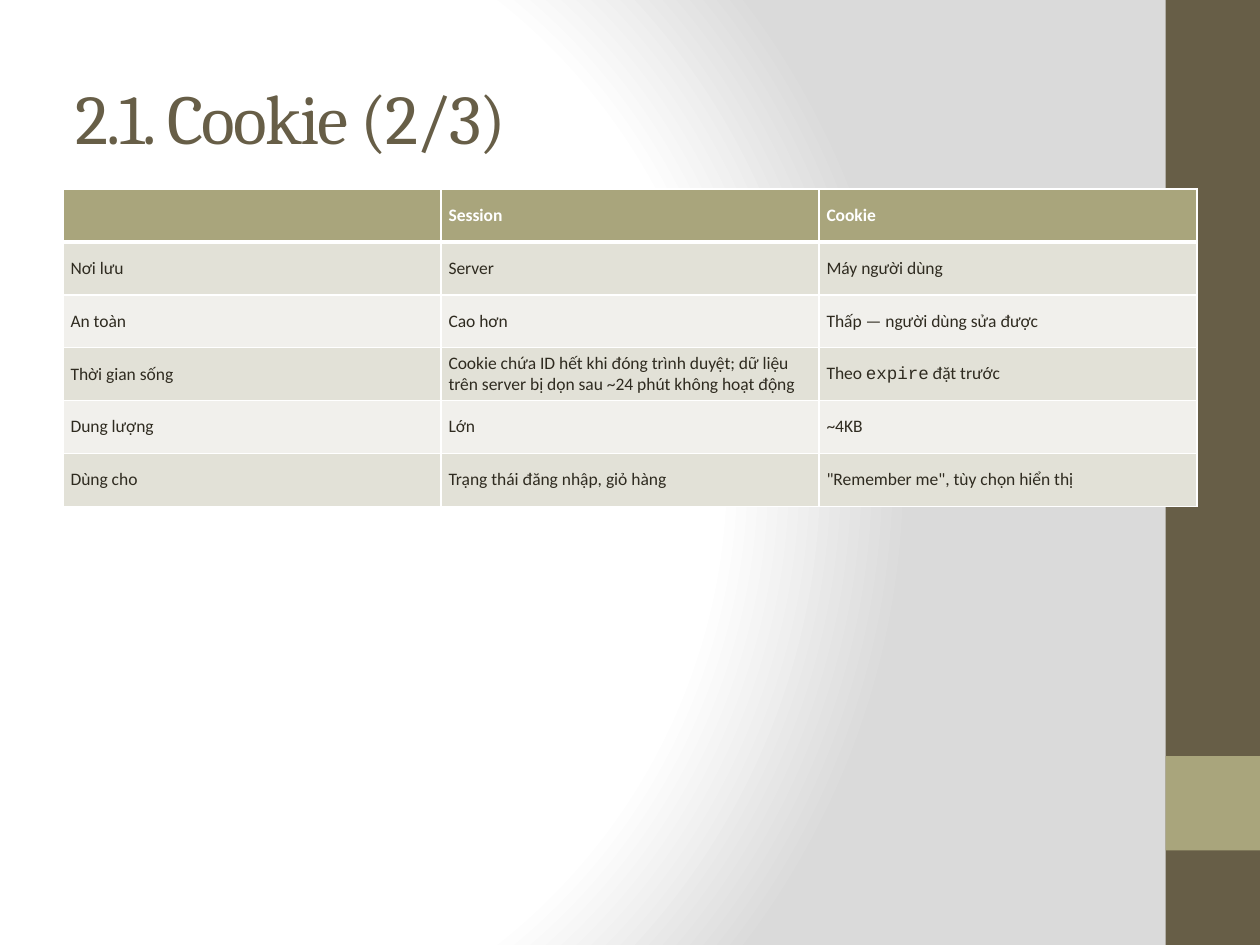
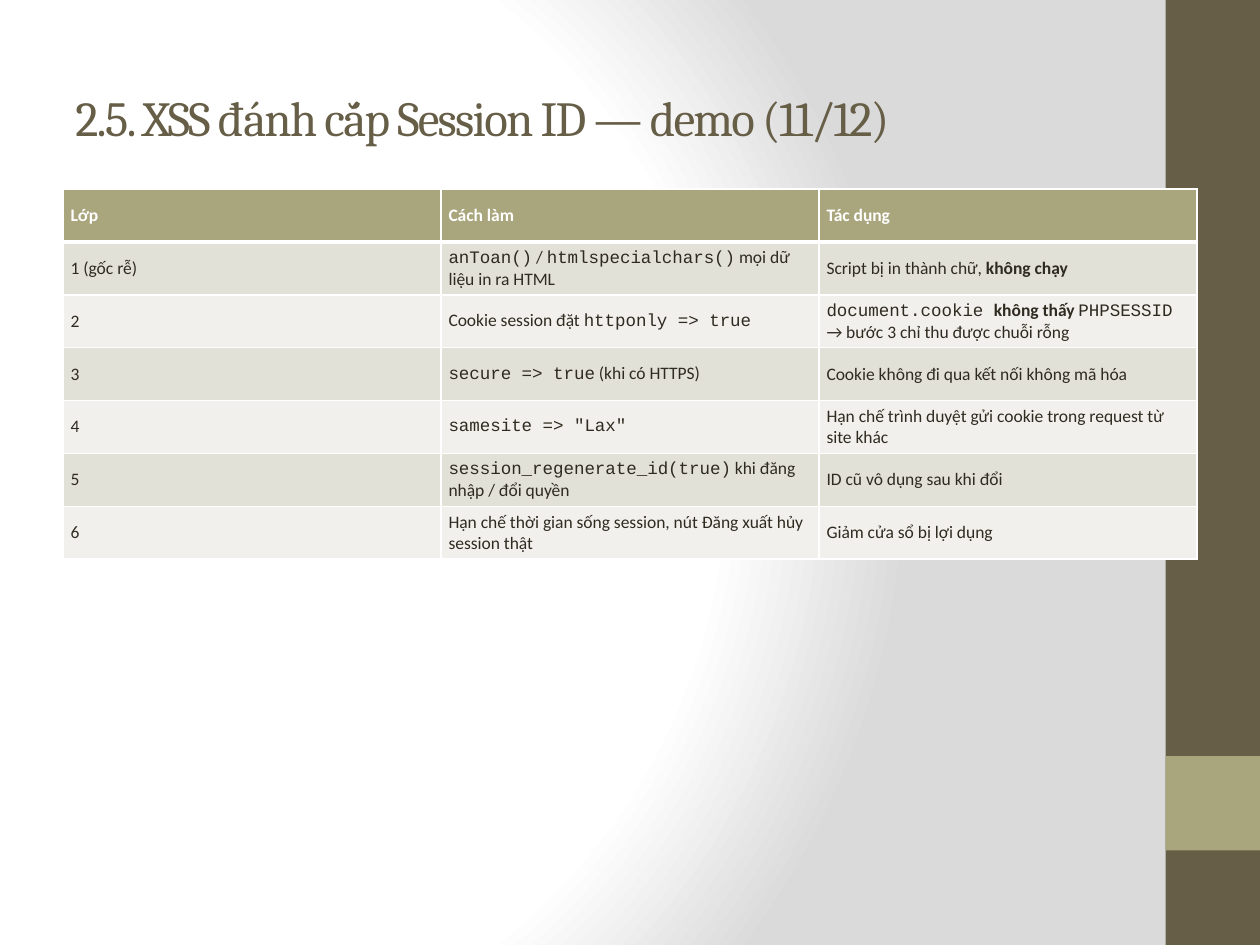
from dataclasses import dataclass

from pptx import Presentation
from pptx.dml.color import RGBColor as Rgb
from pptx.enum.shapes import MSO_SHAPE as Shape
from pptx.enum.text import MSO_ANCHOR as Anchor
from pptx.oxml import parse_xml
from pptx.oxml.ns import nsdecls
from pptx.util import Pt

# Backticks mark code, asterisks mark bold.
SLIDES = [
    {
        "title": "2.1. Cookie (2/3)",
        "size": 40,
        "rows": [
            ("", "Session", "Cookie"),
            ("Nơi lưu", "Server", "Máy người dùng"),
            ("An toàn", "Cao hơn", "Thấp — người dùng sửa được"),
            ("Thời gian sống",
             "Cookie chứa ID hết khi đóng trình duyệt; dữ liệu trên server "
             "bị dọn sau ~24 phút không hoạt động",
             "Theo `expire` đặt trước"),
            ("Dung lượng", "Lớn", "~4KB"),
            ("Dùng cho", "Trạng thái đăng nhập, giỏ hàng",
             '"Remember me", tùy chọn hiển thị'),
        ],
    },
    {
        "title": "2.5. XSS đánh cắp Session ID — demo (11/12)",
        "size": 28,
        "rows": [
            ("Lớp", "Cách làm", "Tác dụng"),
            ("1 (gốc rễ)",
             "`anToan()` / `htmlspecialchars()` mọi dữ liệu in ra HTML",
             "Script bị in thành chữ, *không chạy*"),
            ("2", "Cookie session đặt `httponly => true`",
             "`document.cookie `*không thấy *`PHPSESSID` → bước 3 chỉ thu "
             "được chuỗi rỗng"),
            ("3", "`secure => true` (khi có HTTPS)",
             "Cookie không đi qua kết nối không mã hóa"),
            ("4", '`samesite => "Lax"`',
             "Hạn chế trình duyệt gửi cookie trong request từ site khác"),
            ("5", "`session_regenerate_id(true)` khi đăng nhập / đổi quyền",
             "ID cũ vô dụng sau khi đổi"),
            ("6",
             "Hạn chế thời gian sống session, nút Đăng xuất hủy session thật",
             "Giảm cửa sổ bị lợi dụng"),
        ],
    },
]


@dataclass(frozen=True)
class Theme:
    dark: str = "675E47"
    olive: str = "A9A57C"
    ink: str = "2F2B20"
    white: str = "FFFFFF"
    edge: str = "DADADA"
    bands: tuple = ("E2E1D7", "F1F0EC")
    head: str = "Cambria"
    body: str = "Calibri"
    code: str = "Courier New"
    cell: int = 10
    thin: int = 1
    thick: int = 3


T = Theme()
PX = 9144  # 100 px to the inch
WIDE, HIGH = 1000, 750
BAR = 75
LEFT, TOP, COL, ROW = 50, 150, 300, 42
PAD_X, PAD_Y = 6, 3


def px(*nums):
    return [n * PX for n in nums]


def paint(fill, tone):
    fill.solid()
    fill.fore_color.rgb = Rgb.from_string(tone)


def style(run, face, size, tone, bold=False):
    font = run.font
    font.name, font.size, font.bold = face, Pt(size), bold
    font.color.rgb = Rgb.from_string(tone)


def glow(master):
    """Give every slide the radial background."""
    paint(master.background.fill, T.white)
    stops = "".join(
        f'<a:gs pos="{pos * 1000}"><a:srgbClr val="{tone}"/></a:gs>'
        for pos, tone in ((0, T.white), (75, T.white), (100, T.edge)))
    grad = parse_xml(
        f'<a:gradFill {nsdecls("a")} rotWithShape="1"><a:gsLst>{stops}</a:gsLst>'
        '<a:path path="circle"><a:fillToRect l="20000" t="50000" r="100000" '
        'b="50000"/></a:path></a:gradFill>')
    flat = master.element.xpath("p:cSld/p:bg/p:bgPr/a:solidFill")[0]
    flat.getparent().replace(flat, grad)


def add_bars(slide):
    for top, tall, tone in ((0, HIGH, T.dark), (600, BAR, T.olive)):
        bar = slide.shapes.add_shape(
            Shape.RECTANGLE, *px(WIDE - BAR, top, BAR, tall))
        paint(bar.fill, tone)
        bar.line.fill.background()
        bar.shadow.inherit = False


def add_title(slide, text, size):
    frame = slide.shapes.add_textbox(*px(50, 30, 833, 125)).text_frame
    frame.word_wrap = True
    frame.vertical_anchor = Anchor.MIDDLE
    frame.text = text
    run = frame.paragraphs[0].runs[0]
    style(run, T.head, size, T.dark)
    run.font._element.set("spc", "-100")


def split(text):
    """Yield (words, is code, is bold) for each marked part."""
    for i, part in enumerate(text.split("`")):
        if i % 2:
            yield part, True, False
        else:
            for j, bit in enumerate(part.split("*")):
                if bit:
                    yield bit, False, j % 2 == 1


def edge(cell, row):
    """Rule a cell in white, with a thick line under the header."""
    widths = {"L": T.thin, "R": T.thin,
              "T": T.thick if row == 1 else T.thin,
              "B": T.thick if row == 0 else T.thin}
    props = cell._tc.get_or_add_tcPr()
    for i, (side, wide) in enumerate(widths.items()):
        props.insert(i, parse_xml(
            f'<a:ln{side} {nsdecls("a")} w="{Pt(wide)}"><a:solidFill>'
            f'<a:srgbClr val="{T.white}"/></a:solidFill></a:ln{side}>'))


def fill_cell(cell, text, row):
    top = row == 0
    cell.vertical_anchor = Anchor.MIDDLE
    cell.margin_left = cell.margin_right = PAD_X * PX
    cell.margin_top = cell.margin_bottom = PAD_Y * PX
    paint(cell.fill, T.olive if top else T.bands[(row - 1) % 2])
    edge(cell, row)
    para = cell.text_frame.paragraphs[0]
    for words, code, bold in split(text):
        run = para.add_run()
        run.text = words
        style(run, T.code if code else T.body, T.cell,
              T.white if top else T.ink, bold or top)


def add_grid(slide, rows):
    cols = len(rows[0])
    table = slide.shapes.add_table(
        len(rows), cols,
        *px(LEFT, TOP, COL * cols, ROW * len(rows))).table
    table.horz_banding = False
    for r, row in enumerate(rows):
        for c, text in enumerate(row):
            fill_cell(table.cell(r, c), text, r)


def main():
    deck = Presentation()
    deck.slide_width, deck.slide_height = px(WIDE, HIGH)
    glow(deck.slide_master)
    for page in SLIDES:
        slide = deck.slides.add_slide(deck.slide_layouts[6])
        add_bars(slide)
        add_title(slide, page["title"], page["size"])
        add_grid(slide, page["rows"])
    deck.save("out.pptx")


if __name__ == "__main__":
    main()
